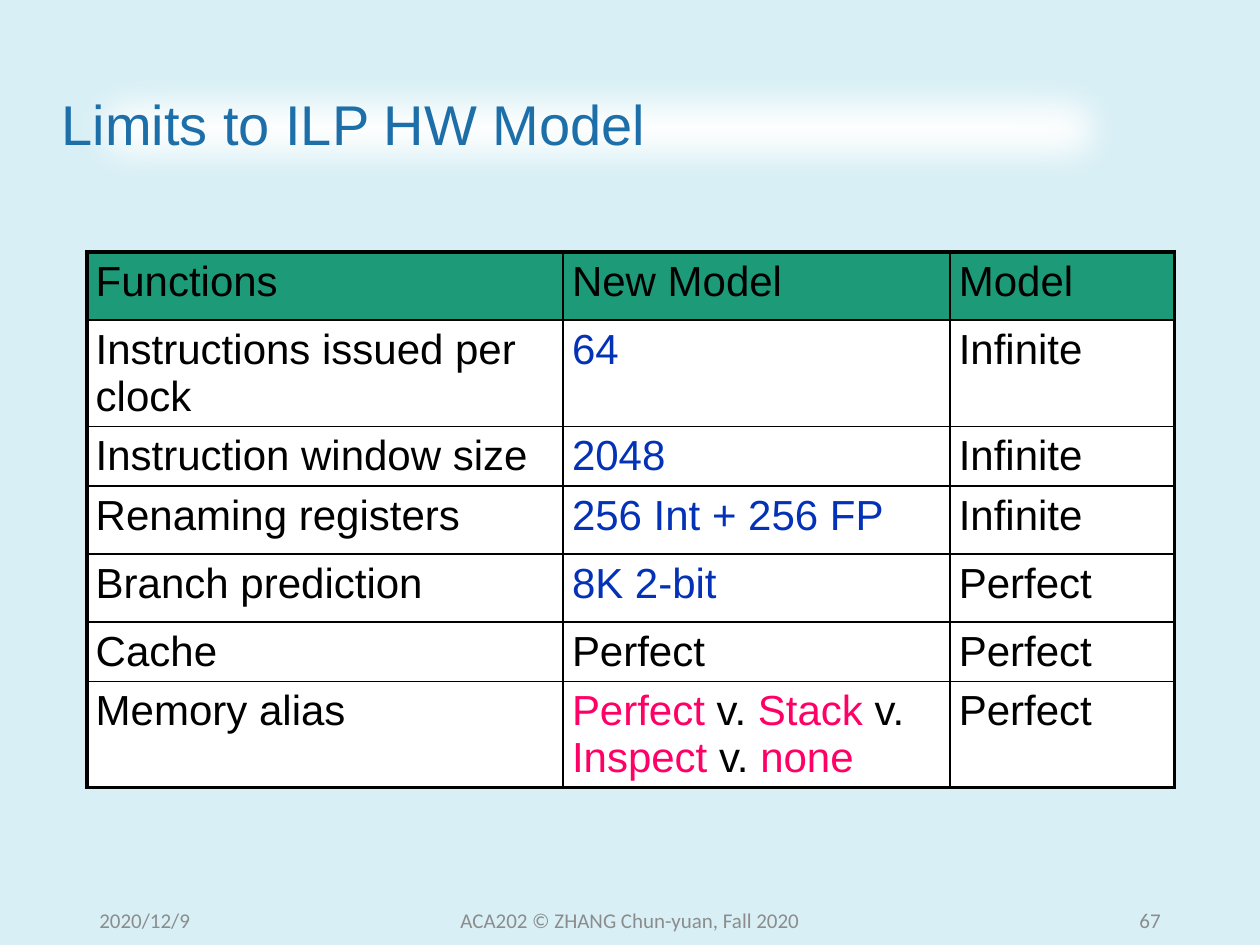
from dataclasses import dataclass
from lxml.etree import SubElement
from pptx import Presentation
from pptx.dml.color import RGBColor
from pptx.enum.shapes import MSO_SHAPE
from pptx.enum.text import MSO_ANCHOR, PP_ALIGN
from pptx.oxml.ns import qn
from pptx.util import Inches, Pt


@dataclass(frozen=True)
class Theme:
    background: str = "D7EFF5"
    white: str = "FFFFFF"
    title: str = "1D6FA9"
    header: str = "1D9A78"
    black: str = "000000"
    blue: str = "0332B7"
    pink: str = "FF0066"
    grey: str = "8C8C8C"
    title_size: int = 32
    cell_size: int = 24
    footer_size: int = 12
    inner_line: float = 1
    outer_line: float = 2.25


theme = Theme()


def add_run(p, text, size, color, font="Arial"):
    r = p.add_run()
    r.text = text
    r.font.name = font
    r.font.size = Pt(size)
    r.font.color.rgb = RGBColor.from_string(color)


def add_border(cell, side, width):
    ln = SubElement(cell._tc.get_or_add_tcPr(), qn(f"a:ln{side}"), w=str(Pt(width)))
    fill = SubElement(ln, qn("a:solidFill"))
    SubElement(fill, qn("a:srgbClr"), val=theme.black)


prs = Presentation()
prs.slide_width = Inches(10)
prs.slide_height = Inches(7.5)
s = prs.slides.add_slide(prs.slide_layouts[6])
s.background.fill.solid()
s.background.fill.fore_color.rgb = RGBColor.from_string(theme.background)

title = s.shapes.add_shape(
    MSO_SHAPE.RECTANGLE, Inches(0.39), Inches(0.4), Inches(8.69), Inches(1.23)
)
title.shadow.inherit = False
title.fill.solid()
title.fill.fore_color.rgb = RGBColor.from_string(theme.white)
title.line.fill.background()
effects = title._element.spPr.find(qn("a:effectLst"))
SubElement(effects, qn("a:softEdge"), rad=str(Pt(25)))
tf = title.text_frame
tf.word_wrap = True
tf.vertical_anchor = MSO_ANCHOR.MIDDLE
p = tf.paragraphs[0]
p.alignment = PP_ALIGN.LEFT
p.line_spacing = 0.9
add_run(p, "Limits to ILP HW Model", theme.title_size, theme.title)

alias_runs = [
    ("Perfect ", theme.pink), ("v.", theme.black), (" Stack ", theme.pink),
    ("v. ", theme.black), ("Inspect ", theme.pink), ("v.", theme.black),
    (" none", theme.pink),
]
rows = [
    (0.54, "Functions", [("New Model", theme.black)], "Model"),
    (0.74, "Instructions issued per clock", [("64", theme.blue)], "Infinite"),
    (0.31, "Instruction window size", [("2048", theme.blue)], "Infinite"),
    (0.54, "Renaming registers", [("256 Int + 256 FP", theme.blue)], "Infinite"),
    (0.54, "Branch prediction", [("8K 2-bit", theme.blue)], "Perfect"),
    (0.29, "Cache", [("Perfect", theme.black)], "Perfect"),
    (0.74, "Memory alias", alias_runs, "Perfect"),
]
col_widths = [3.78, 3.07, 1.78]
last_row, last_col = len(rows) - 1, len(col_widths) - 1

table = s.shapes.add_table(
    len(rows), len(col_widths), Inches(0.69), Inches(2),
    Inches(sum(col_widths)), Inches(sum(row[0] for row in rows)),
).table
table.horz_banding = False
for column, width in zip(table.columns, col_widths):
    column.width = Inches(width)

for i, (height, function, new_model, model) in enumerate(rows):
    table.rows[i].height = Inches(height)
    contents = [[(function, theme.black)], new_model, [(model, theme.black)]]
    for j, runs in enumerate(contents):
        cell = table.cell(i, j)
        cell.margin_left = cell.margin_right = Inches(0.07)
        cell.margin_top = cell.margin_bottom = Inches(0.05)
        outer_sides = {"L": j == 0, "R": j == last_col, "T": i == 0, "B": i == last_row}
        for side, outer in outer_sides.items():
            add_border(cell, side, theme.outer_line if outer else theme.inner_line)
        cell.fill.solid()
        cell.fill.fore_color.rgb = RGBColor.from_string(theme.white if i else theme.header)
        for text, color in runs:
            p = cell.text_frame.paragraphs[0]
            add_run(p, text, theme.cell_size, color)
            p.runs[-1].font.bold = False

footers = [
    (0.69, 2.25, "2020/12/9", PP_ALIGN.LEFT),
    (3.31, 3.38, "ACA202 © ZHANG Chun-yuan, Fall 2020", PP_ALIGN.CENTER),
    (7.06, 2.25, "67", PP_ALIGN.RIGHT),
]
for left, width, text, align in footers:
    tf = s.shapes.add_textbox(Inches(left), Inches(7.1), Inches(width), Inches(0.4)).text_frame
    tf.word_wrap = True
    tf.vertical_anchor = MSO_ANCHOR.MIDDLE
    p = tf.paragraphs[0]
    p.alignment = align
    add_run(p, text, theme.footer_size, theme.grey, "Calibri")

prs.save("out.pptx")
